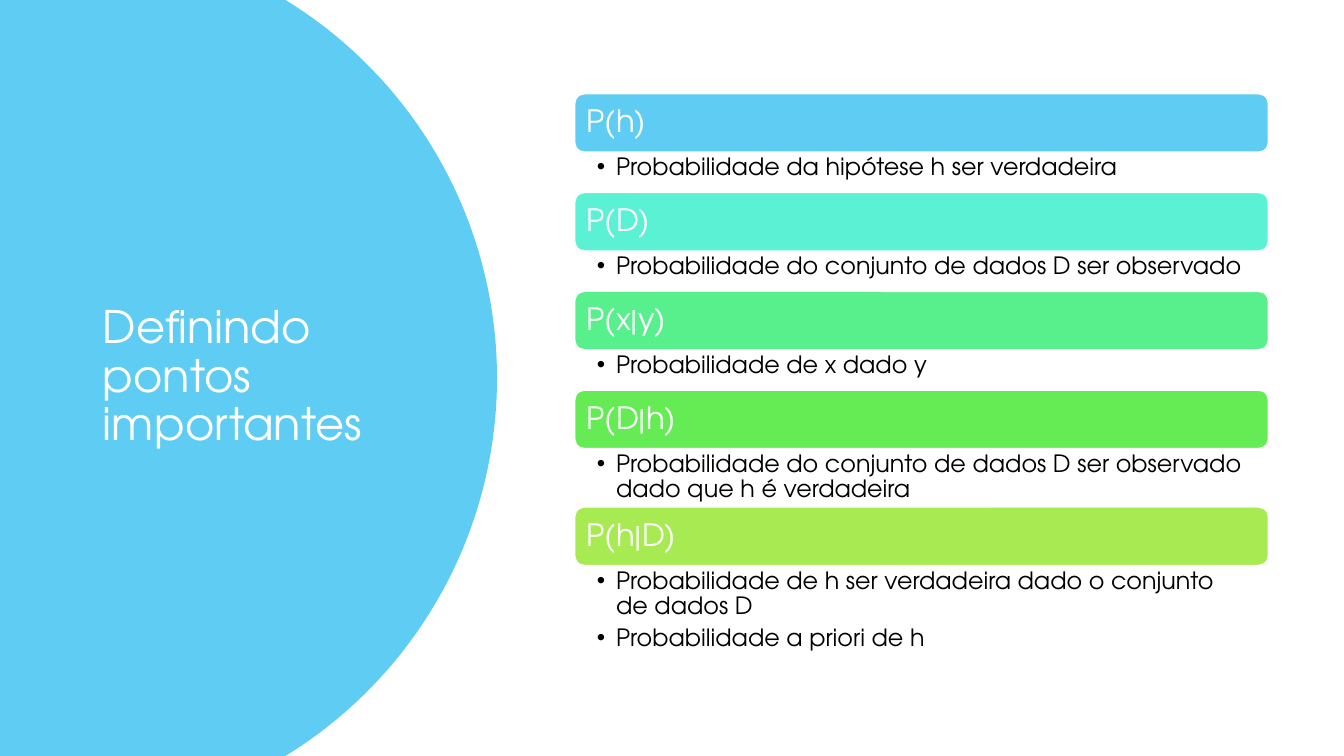
from dataclasses import dataclass
from math import asin, cos, sin

from pptx import Presentation
from pptx.dml.color import RGBColor
from pptx.enum.shapes import MSO_SHAPE
from pptx.enum.text import MSO_ANCHOR, MSO_AUTO_SIZE, PP_ALIGN
from pptx.shapes.base import BaseShape
from pptx.slide import Slide
from pptx.util import Inches, Length, Pt

FONT = "TeX Gyre Adventor"
WHITE, BLACK, SKY = "FFFFFF", "000000", "5ECCF3"
COLUMNS, ROWS = 133.3, 75
BAND_LEFT, BAND_WIDTH, BAND_ROWS, FIRST_ROW = 57, 68.8, 5.8, 9.3
ARC_STEPS = 90


@dataclass(frozen=True)
class Section:
    """A coloured heading band with the list below it."""

    heading: str
    color: str
    list_rows: float
    items: tuple[str, ...]


SECTIONS = (
    Section("P(h)", SKY, 4, ("Probabilidade da hipótese h ser verdadeira",)),
    Section("P(D)", "5BF1D4", 4, ("Probabilidade do conjunto de dados D ser observado",)),
    Section("P(x|y)", "58EF8D", 4, ("Probabilidade de x dado y",)),
    Section("P(D|h)", "65EC55", 5.8, (
        "Probabilidade do conjunto de dados D ser observado dado que h é verdadeira",
    )),
    Section("P(h|D)", "A7EA52", 9.2, (
        "Probabilidade de h ser verdadeira dado o conjunto de dados D",
        "Probabilidade a priori de h",
    )),
)


def grid(units: float) -> Length:
    """Return the length of a number of columns or rows."""
    return Inches(units / 10)


def rgb(color: str) -> RGBColor:
    """Turn a hex string into a colour."""
    return RGBColor.from_string(color)


def place(shape: BaseShape, left: float, top: float, width: float, height: float) -> None:
    """Move a shape to its columns and rows."""
    shape.left, shape.top = grid(left), grid(top)
    shape.width, shape.height = grid(width), grid(height)


def write(shape: BaseShape, *texts: str, size: float, color: str,
          anchor: MSO_ANCHOR = MSO_ANCHOR.MIDDLE,
          insets: tuple[float, float, float, float] = (1, 0.5, 1, 0.5),
          hanging: float = 0, after: float = 0) -> None:
    """Fill a shape with one formatted paragraph for each text."""
    frame = shape.text_frame
    frame.word_wrap = True
    frame.auto_size = MSO_AUTO_SIZE.NONE
    frame.vertical_anchor = anchor
    (frame.margin_left, frame.margin_top,
     frame.margin_right, frame.margin_bottom) = map(grid, insets)
    for number, text in enumerate(texts):
        para = frame.add_paragraph() if number else frame.paragraphs[0]
        para.alignment = PP_ALIGN.LEFT
        para.line_spacing = 0.9
        para.space_before, para.space_after = Pt(0), Pt(after)
        if hanging:
            properties = para._p.get_or_add_pPr()
            properties.set("marL", str(grid(hanging)))
            properties.set("indent", str(-grid(hanging)))
        span = para.add_run()
        span.text = text
        span.font.name, span.font.size = FONT, Pt(size)
        span.font.color.rgb = rgb(color)


def draw_title(slide: Slide) -> None:
    """Draw the title over a disc cut by the slide's left, top and bottom edges."""
    middle, radius, center = ROWS / 2, 44, 5.3
    limit = asin(middle / radius)
    angles = [limit * (2 * step / ARC_STEPS - 1) for step in range(ARC_STEPS + 1)]
    arc = [(grid(center + radius * cos(angle)), grid(middle + radius * sin(angle)))
           for angle in angles]
    builder = slide.shapes.build_freeform(0, 0)
    builder.add_line_segments([*arc, (0, grid(ROWS))], close=True)
    disc = builder.convert_to_shape()
    disc.shadow.inherit = False
    disc.fill.solid()
    disc.fill.fore_color.rgb = rgb(SKY)
    disc.line.fill.background()
    title = slide.shapes.title
    title.element.addprevious(disc.element)
    place(title, 9.2, 7, 32.3, 60.9)
    write(title, "Definindo pontos importantes", size=32, color=WHITE)


def draw_band(slide: Slide, section: Section, top: float) -> None:
    """Draw the rounded heading band of a section."""
    band = slide.shapes.add_shape(MSO_SHAPE.ROUNDED_RECTANGLE, 0, 0, 0, 0)
    place(band, BAND_LEFT, top, BAND_WIDTH, BAND_ROWS)
    band.shadow.inherit = False
    band.fill.solid()
    band.fill.fore_color.rgb = rgb(section.color)
    band.line.color.rgb = rgb(WHITE)
    band.line.width = Pt(1)
    write(band, section.heading, size=22, color=WHITE, insets=(0.9, 0.9, 0.9, 0.9))


def draw_sections(slide: Slide) -> None:
    """Stack the sections, each list in a body placeholder."""
    body = slide.slide_layout.placeholders.get(idx=1)
    for _ in SECTIONS[1:]:
        slide.shapes.clone_placeholder(body)
    boxes = [box for box in slide.placeholders if box.placeholder_format.idx == 1]
    top = FIRST_ROW
    for section, box in zip(SECTIONS, boxes):
        draw_band(slide, section, top)
        top += BAND_ROWS
        place(box, BAND_LEFT, top, BAND_WIDTH, section.list_rows)
        write(box, *section.items, size=17, color=BLACK, anchor=MSO_ANCHOR.TOP,
              insets=(2.2, 0.3, 1.7, 0.3), hanging=1.9, after=4)
        top += section.list_rows


def main() -> None:
    """Build the slide and save it."""
    deck = Presentation()
    deck.slide_width, deck.slide_height = grid(COLUMNS), grid(ROWS)
    slide = deck.slides.add_slide(deck.slide_layouts[1])
    draw_title(slide)
    draw_sections(slide)
    deck.save("out.pptx")


if __name__ == "__main__":
    main()
